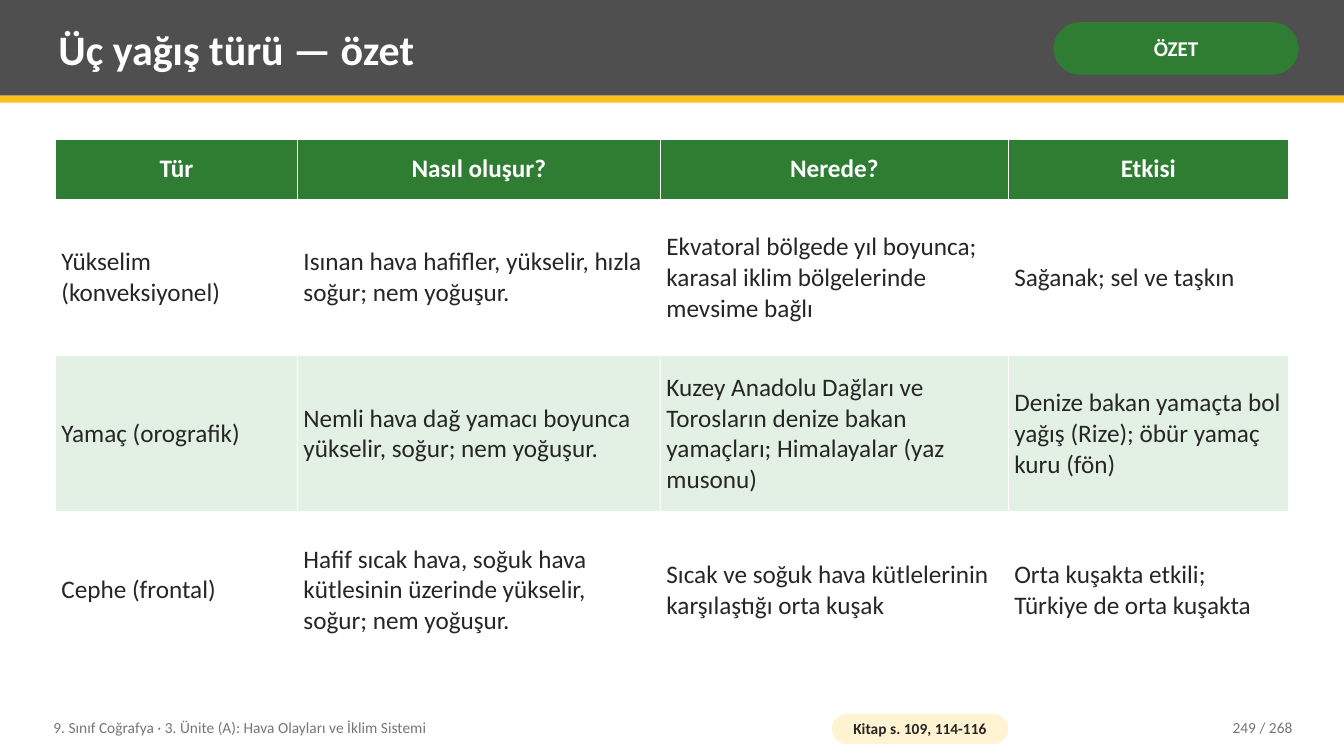
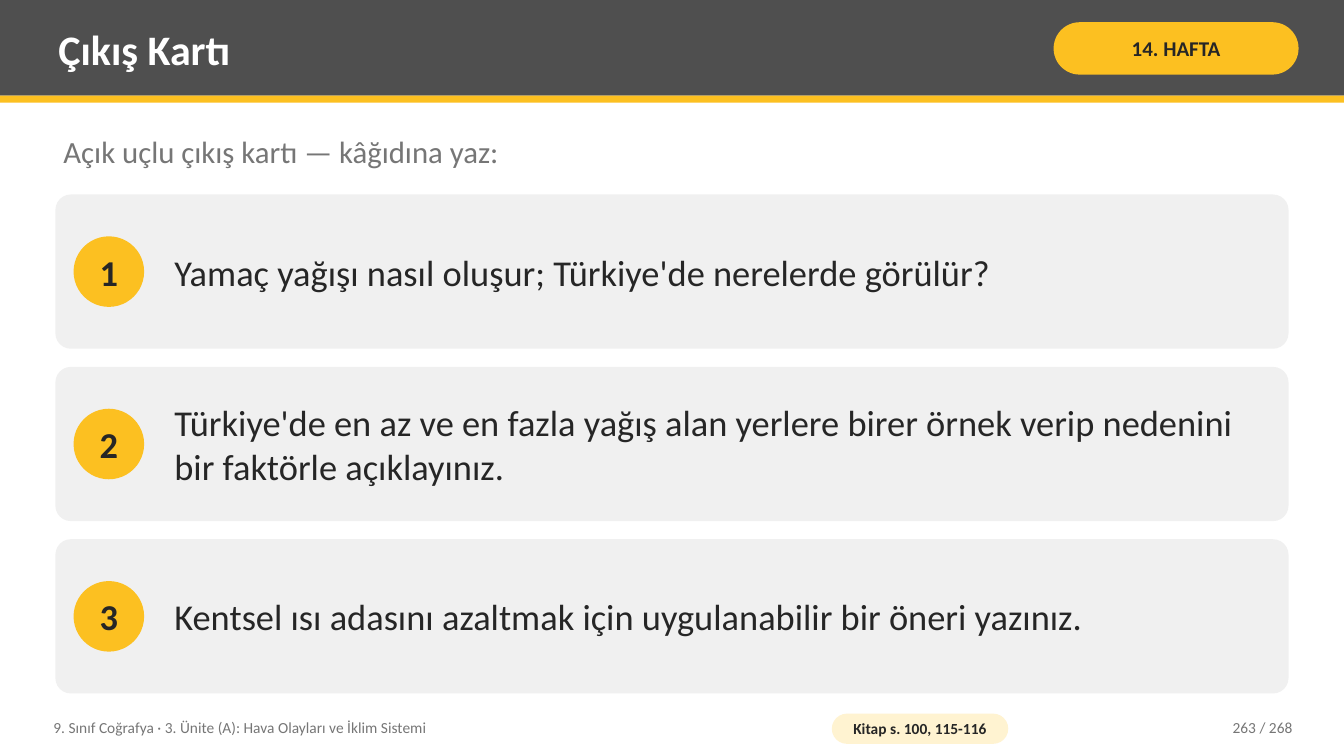
import pptx
import pptx.dml.color
import pptx.enum.shapes
import pptx.enum.text
import pptx.oxml
import pptx.oxml.ns
import pptx.util

Inches = pptx.util.Inches
RGBColor = pptx.dml.color.RGBColor
SHAPE = pptx.enum.shapes.MSO_SHAPE
ALIGN = pptx.enum.text.PP_ALIGN
MIDDLE = pptx.enum.text.MSO_ANCHOR.MIDDLE
TOP = pptx.enum.text.MSO_ANCHOR.TOP

WHITE = RGBColor(0xFF, 0xFF, 0xFF)
CHARCOAL = RGBColor(0x4F, 0x4F, 0x4F)
INK = RGBColor(0x26, 0x26, 0x26)
GRAY = RGBColor(0x76, 0x76, 0x76)
CARD_GRAY = RGBColor(0xF0, 0xF0, 0xF0)
YELLOW = RGBColor(0xFC, 0xC0, 0x21)
PALE_YELLOW = RGBColor(0xFF, 0xF3, 0xD1)
GREEN = RGBColor(0x2E, 0x7D, 0x32)
PALE_GREEN = RGBColor(0xE3, 0xF1, 0xE4)

FONT = "Calibri"
SLIDE_WIDTH, SLIDE_HEIGHT = 13.33, 7.5
LEFT, CONTENT_WIDTH = 0.55, 12.23
TEXT_INSETS = (0.08, 0.04)

UNIT = "9. Sınıf Coğrafya · 3. Ünite (A): Hava Olayları ve İklim Sistemi"
PAGE_COUNT = 268

SUMMARY = {
    "title": "Üç yağış türü — özet",
    "tag": ("ÖZET", GREEN, WHITE),
    "source": "Kitap s. 109, 114-116",
    "page": 249,
}
RAIN_TABLE = [
    ("Tür", "Nasıl oluşur?", "Nerede?", "Etkisi"),
    ("Yükselim (konveksiyonel)",
     "Isınan hava hafifler, yükselir, hızla soğur; nem yoğuşur.",
     "Ekvatoral bölgede yıl boyunca; karasal iklim bölgelerinde mevsime bağlı",
     "Sağanak; sel ve taşkın"),
    ("Yamaç (orografik)",
     "Nemli hava dağ yamacı boyunca yükselir, soğur; nem yoğuşur.",
     "Kuzey Anadolu Dağları ve Torosların denize bakan yamaçları; Himalayalar (yaz musonu)",
     "Denize bakan yamaçta bol yağış (Rize); öbür yamaç kuru (fön)"),
    ("Cephe (frontal)",
     "Hafif sıcak hava, soğuk hava kütlesinin üzerinde yükselir, soğur; nem yoğuşur.",
     "Sıcak ve soğuk hava kütlelerinin karşılaştığı orta kuşak",
     "Orta kuşakta etkili; Türkiye de orta kuşakta"),
]
COLUMN_WIDTHS = (2.4, 3.6, 3.45, 2.78)
ROW_HEIGHTS = (0.6, 1.55, 1.55, 1.55)

EXIT_CARD = {
    "title": "Çıkış Kartı",
    "tag": ("14. HAFTA", YELLOW, INK),
    "source": "Kitap s. 100, 115-116",
    "page": 263,
}
PROMPT = "Açık uçlu çıkış kartı — kâğıdına yaz:"
QUESTIONS = [
    "Yamaç yağışı nasıl oluşur; Türkiye'de nerelerde görülür?",
    "Türkiye'de en az ve en fazla yağış alan yerlere birer örnek verip nedenini "
    "bir faktörle açıklayınız.",
    "Kentsel ısı adasını azaltmak için uygulanabilir bir öneri yazınız.",
]


def write(text_frame, text, size, color, bold=False, align=ALIGN.LEFT):
    paragraph = text_frame.paragraphs[0]
    paragraph.alignment = align
    run = paragraph.add_run()
    run.text = text
    run.font.name = FONT
    run.font.size = pptx.util.Pt(size)
    run.font.bold = bold
    run.font.color.rgb = color


def set_margins(target, horizontal, vertical):
    """Set the insets of a text frame or a table cell."""
    target.margin_left = target.margin_right = Inches(horizontal)
    target.margin_top = target.margin_bottom = Inches(vertical)


def set_frame(shape, insets=TEXT_INSETS, anchor=MIDDLE, wrap=True):
    text_frame = shape.text_frame
    text_frame.auto_size = pptx.enum.text.MSO_AUTO_SIZE.NONE
    text_frame.word_wrap = wrap
    text_frame.vertical_anchor = anchor
    set_margins(text_frame, *insets)
    return text_frame


def add_text(slide, box, text, size, color, align=ALIGN.LEFT, anchor=MIDDLE):
    shape = slide.shapes.add_textbox(*map(Inches, box))
    write(set_frame(shape, anchor=anchor), text, size, color, align=align)


def add_block(slide, kind, box, fill, corner=None):
    shape = slide.shapes.add_shape(kind, *map(Inches, box))
    shape.shadow.inherit = False
    shape.fill.solid()
    shape.fill.fore_color.rgb = fill
    shape.line.fill.background()
    if corner is not None:
        shape.adjustments[0] = corner
    return shape


def add_pill(slide, box, fill, text, size, color, insets):
    pill = add_block(slide, SHAPE.ROUNDED_RECTANGLE, box, fill, 0.5)
    write(set_frame(pill, insets), text, size, color, True, ALIGN.CENTER)


def add_lesson_slide(presentation, content):
    """Add a slide with its header band, title, tag and footer."""
    slide = presentation.slides.add_slide(presentation.slide_layouts[5])
    add_block(slide, SHAPE.RECTANGLE, (0, 0, SLIDE_WIDTH, 0.95), CHARCOAL)
    stripe = add_block(slide, SHAPE.RECTANGLE, (0, 0.95, SLIDE_WIDTH, 0.07), YELLOW)

    title = slide.shapes.title
    stripe.element.addnext(title.element)
    title.left, title.top, title.width, title.height = map(Inches, (0.5, 0.07, 9.75, 0.82))
    write(set_frame(title), content["title"], 30, WHITE, True)

    tag, fill, color = content["tag"]
    add_pill(slide, (10.45, 0.22, 2.43, 0.52), fill, tag, 15, color, (0.05, 0.02))

    add_text(slide, (0.45, 7.04, 7.6, 0.36), UNIT, 11, GRAY)
    add_pill(slide, (8.25, 7.08, 1.75, 0.3), PALE_YELLOW, content["source"], 11, INK, (0.04, 0))
    add_text(slide, (11.3, 7.04, 1.6, 0.36), f"{content['page']} / {PAGE_COUNT}", 11, GRAY,
             ALIGN.RIGHT)
    return slide


def add_cell_borders(cell, color, width):
    properties = cell._tc.get_or_add_tcPr()
    for side in ("lnL", "lnR", "lnT", "lnB"):
        properties.append(pptx.oxml.parse_xml(
            f'<a:{side} {pptx.oxml.ns.nsdecls("a")} w="{pptx.util.Pt(width)}">'
            f'<a:solidFill><a:srgbClr val="{color}"/></a:solidFill></a:{side}>'))


def add_rain_table(slide):
    box = (LEFT, 1.38, CONTENT_WIDTH, sum(ROW_HEIGHTS))
    table = slide.shapes.add_table(len(RAIN_TABLE), len(COLUMN_WIDTHS), *map(Inches, box)).table
    table.horz_banding = False
    for column, width in zip(table.columns, COLUMN_WIDTHS):
        column.width = Inches(width)
    for index, (row, height, texts) in enumerate(zip(table.rows, ROW_HEIGHTS, RAIN_TABLE)):
        row.height = Inches(height)
        header = index == 0
        fill = GREEN if header else (WHITE if index % 2 else PALE_GREEN)
        for cell, text in zip(row.cells, texts):
            add_cell_borders(cell, WHITE, 0.96)
            cell.fill.solid()
            cell.fill.fore_color.rgb = fill
            cell.vertical_anchor = MIDDLE
            set_margins(cell, 0.06, 0.05)
            write(cell.text_frame, text, 18, WHITE if header else INK, header,
                  ALIGN.CENTER if header else ALIGN.LEFT)


def add_question_cards(slide):
    first_top, height, gap, badge_size = 1.93, 1.53, 0.18, 0.7
    for index, question in enumerate(QUESTIONS):
        top = first_top + index * (height + gap)
        add_block(slide, SHAPE.ROUNDED_RECTANGLE, (LEFT, top, CONTENT_WIDTH, height),
                  CARD_GRAY, 0.1)
        badge_top = top + (height - badge_size) / 2
        badge = add_block(slide, SHAPE.OVAL, (0.73, badge_top, badge_size, badge_size), YELLOW)
        write(set_frame(badge, (0, 0), wrap=False), str(index + 1), 26, INK, True, ALIGN.CENTER)
        add_text(slide, (1.65, top, 10.93, height), question, 26, INK)


def main():
    presentation = pptx.Presentation()
    presentation.slide_width = Inches(SLIDE_WIDTH)
    presentation.slide_height = Inches(SLIDE_HEIGHT)

    add_rain_table(add_lesson_slide(presentation, SUMMARY))

    exit_slide = add_lesson_slide(presentation, EXIT_CARD)
    add_text(exit_slide, (LEFT, 1.28, CONTENT_WIDTH, 0.55), PROMPT, 22, GRAY, anchor=TOP)
    add_question_cards(exit_slide)

    presentation.save("out.pptx")


if __name__ == "__main__":
    main()
